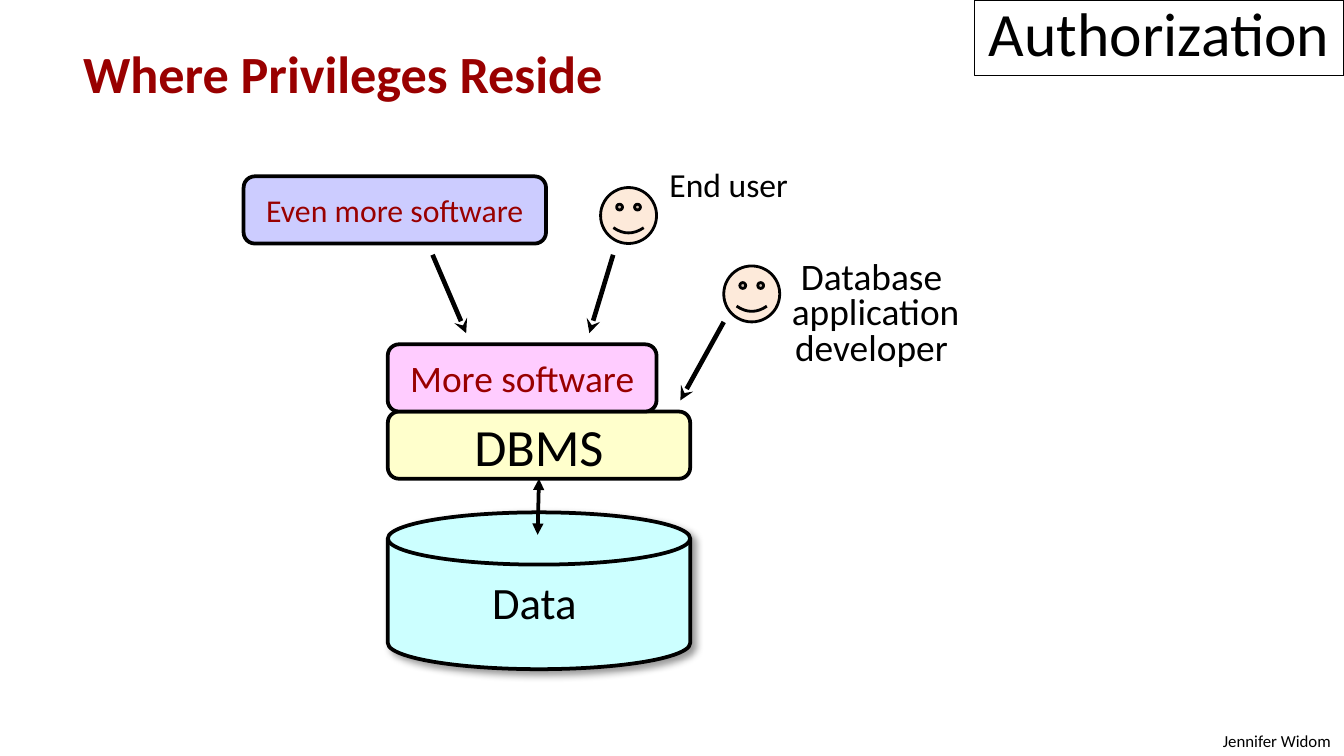
"""Build the slide showing where database privileges reside."""
from dataclasses import dataclass

from lxml import etree
from pptx import Presentation
from pptx import util as u
from pptx.dml.color import RGBColor
from pptx.enum import shapes, text
from pptx.oxml import parse_xml
from pptx.oxml.ns import nsdecls, qn


@dataclass(frozen=True)
class Theme:
    font: str = "Calibri"
    ink: str = "000000"
    accent: str = "990000"
    data: str = "CCFFFF"
    dbms: str = "FFFFCC"
    software: str = "FFCCFF"
    outer_software: str = "CCCCFF"
    face: str = "FDEADA"
    title_size: int = 33
    heading_size: int = 28
    data_size: int = 24
    body_size: int = 20
    user_size: int = 18
    small_size: int = 17
    footer_size: int = 9


theme = Theme()
PX = 9525
KIND = shapes.MSO_SHAPE
ALIGN = text.PP_ALIGN
ANCHOR = text.MSO_ANCHOR


def write(shape, words, size, color=theme.ink, align=ALIGN.CENTER, anchor=ANCHOR.MIDDLE,
          wrap=True, spacing=None, bold=False):
    frame = shape.text_frame
    frame.text = words
    frame.word_wrap = wrap
    frame.auto_size = text.MSO_AUTO_SIZE.NONE
    frame.vertical_anchor = anchor
    for paragraph in frame.paragraphs:
        paragraph.alignment = align
        paragraph.line_spacing = spacing
        for run in paragraph.runs:
            run.font.name = theme.font
            run.font.size = u.Pt(size)
            run.font.bold = bold
            run.font.color.rgb = RGBColor.from_string(color)


def add_figure(kind, box, fill, width=2):
    shape = slide.shapes.add_shape(kind, *(n * PX for n in box))
    shape.shadow.inherit = False
    shape.fill.solid()
    shape.fill.fore_color.rgb = RGBColor.from_string(fill)
    shape.line.color.rgb = RGBColor.from_string(theme.ink)
    shape.line.width = u.Pt(width)
    return shape


presentation = Presentation()
presentation.slide_width = 960 * PX
presentation.slide_height = 540 * PX
slide = presentation.slides.add_slide(presentation.slide_layouts[5])

title = slide.shapes.title
title.left, title.top, title.width, title.height = (n * PX for n in (696, 0, 264, 54))
title.line.color.rgb = RGBColor.from_string(theme.ink)
title.line.width = u.Pt(0.75)
write(title, "Authorization", theme.title_size, anchor=ANCHOR.BOTTOM)

cylinder = add_figure(KIND.FLOWCHART_MAGNETIC_DISK, (277, 366, 216, 112), theme.data)
effects = cylinder._element.spPr.find(qn("a:effectLst"))
effects.append(parse_xml(
    f'<a:outerShdw {nsdecls("a")} blurRad="{u.Pt(4)}" dist="{u.Pt(3)}" dir="2700000" '
    f'algn="tl" rotWithShape="0"><a:srgbClr val="{theme.ink}">'
    '<a:alpha val="40000"/></a:srgbClr></a:outerShdw>'))

layers = [
    ("DBMS", (277, 294, 216, 48), theme.dbms, theme.heading_size, theme.ink),
    ("More software", (277, 246, 192, 48), theme.software, theme.body_size, theme.accent),
    ("Even more software", (174, 126, 216, 48), theme.outer_software, theme.small_size,
     theme.accent),
]
for words, box, fill, size, color in layers:
    write(add_figure(KIND.ROUNDED_RECTANGLE, box, fill), words, size, color)

for left, top in [(429, 134), (517, 190)]:
    add_figure(KIND.SMILEY_FACE, (left, top, 40, 40), theme.face, 1.5)

arrows = [
    ((385, 342, 384, 382), 2, {"headEnd": "triangle", "tailEnd": "triangle"}),
    ((309, 182, 333, 238), 2.5, {"tailEnd": "stealth"}),
    ((438, 182, 421, 238), 2.5, {"tailEnd": "stealth"}),
    ((517, 230, 486, 286), 2.5, {"tailEnd": "stealth"}),
]
for ends, width, heads in arrows:
    arrow = slide.shapes.add_connector(shapes.MSO_CONNECTOR.STRAIGHT, *(n * PX for n in ends))
    arrow.line.color.rgb = RGBColor.from_string(theme.ink)
    arrow.line.width = u.Pt(width)
    for tag, head in heads.items():
        etree.SubElement(arrow.line._get_or_add_ln(), qn(f"a:{tag}"), type=head)
    etree.SubElement(arrow._element.spPr, qn("a:effectLst"))

labels = [
    ("Where Privileges Reside", (40, 30, 872, 478), theme.heading_size,
     dict(color=theme.accent, align=ALIGN.LEFT, spacing=0.9, bold=True)),
    ("Data", (342, 406, 81, 48), theme.data_size, dict(align=ALIGN.LEFT, wrap=False)),
    ("Database\n application\ndeveloper", (549, 182, 147, 87), theme.body_size,
     dict(wrap=False, spacing=0.8)),
    ("End user", (468, 118, 105, 34), theme.user_size, dict(wrap=False, spacing=0.8)),
    ("Jennifer Widom", (856, 517, 104, 24), theme.footer_size, dict(align=ALIGN.RIGHT)),
]
for words, box, size, style in labels:
    label = slide.shapes.add_textbox(*(n * PX for n in box))
    write(label, words, size, anchor=ANCHOR.TOP, **style)
    if style.get("bold"):
        properties = label.text_frame.paragraphs[0]._p.get_or_add_pPr()
        properties.set("marL", str(29 * PX))
        properties.set("indent", str(-19 * PX))

presentation.save("out.pptx")
